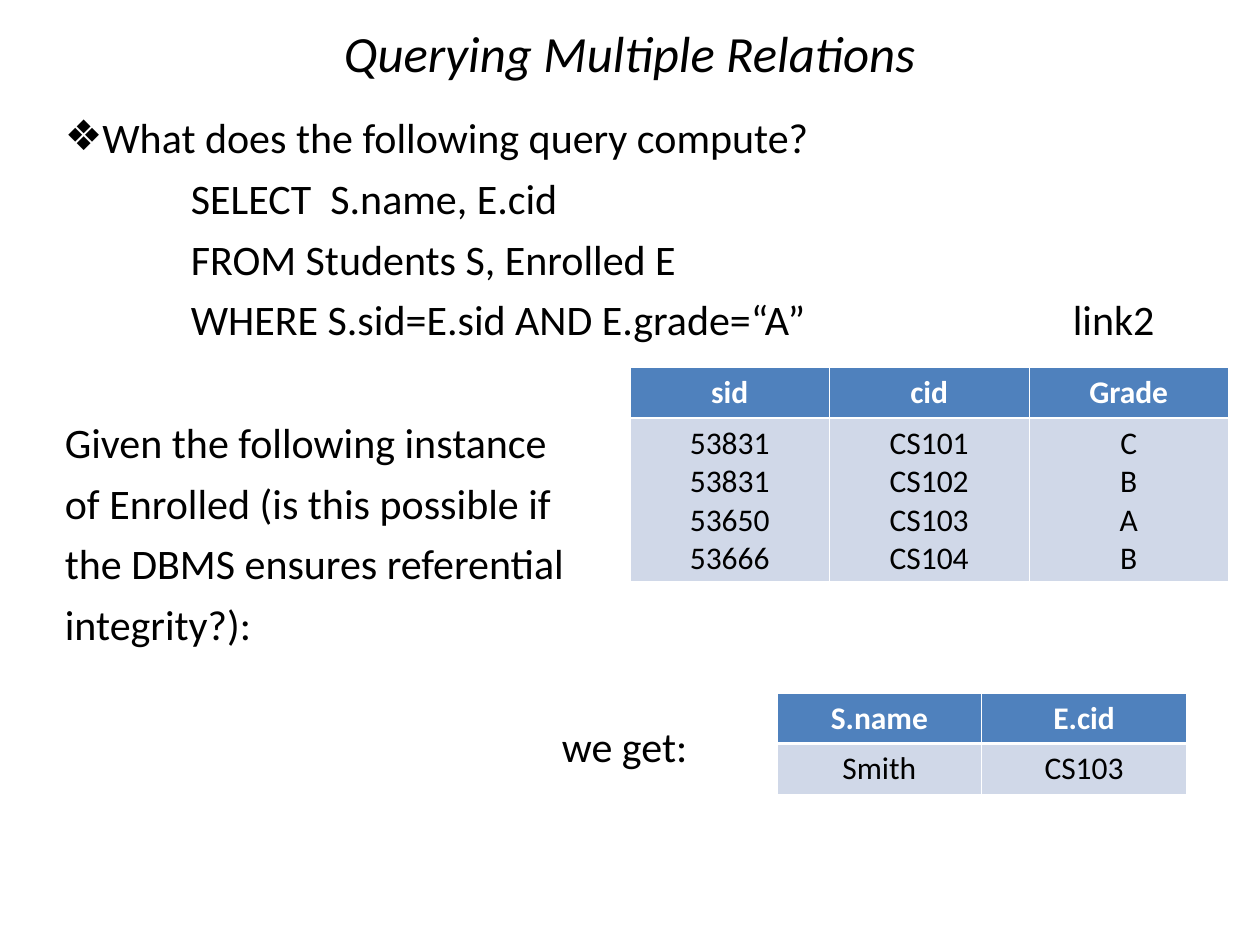
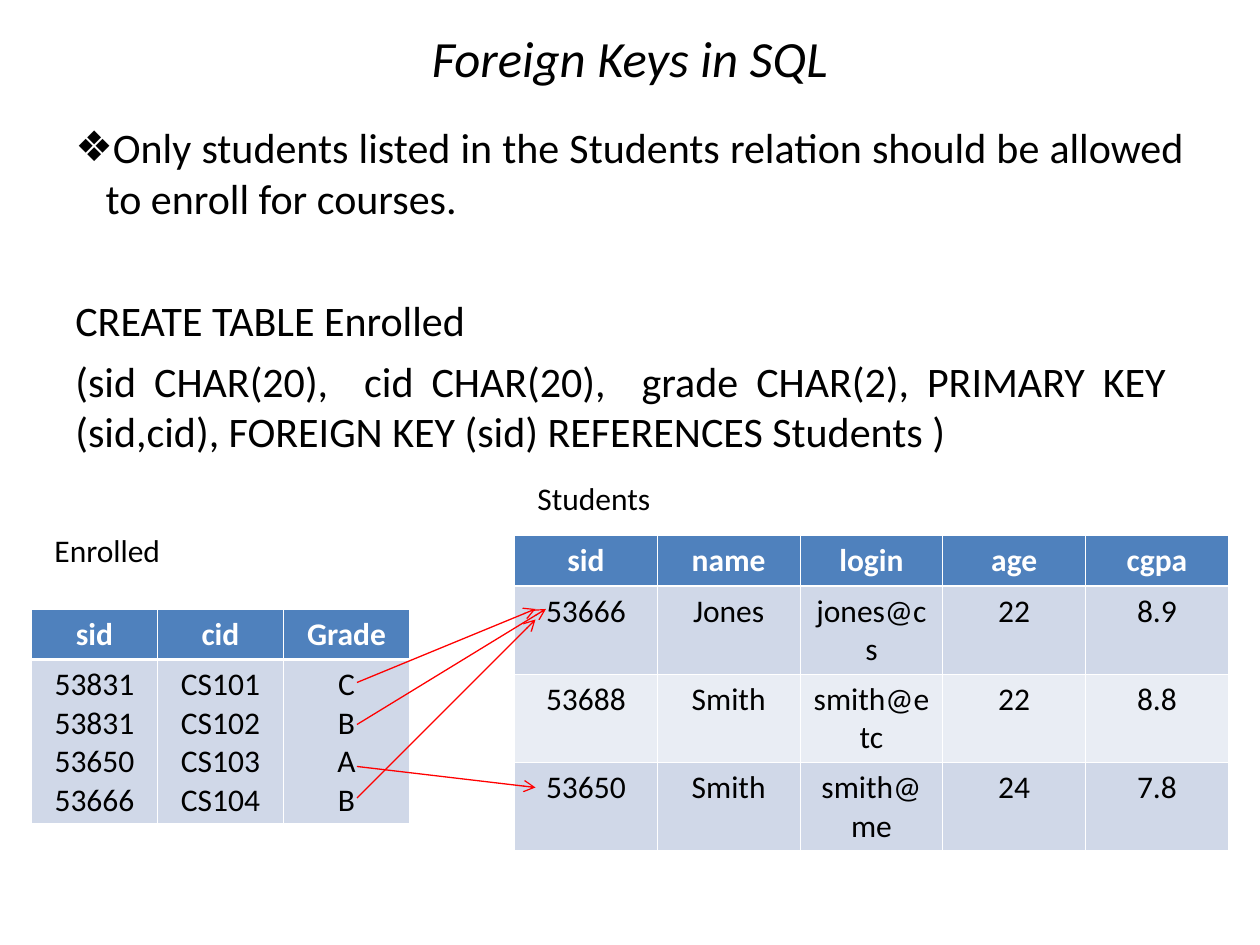
from lxml.etree import SubElement
from pptx import Presentation
from pptx.dml.color import RGBColor
from pptx.enum.shapes import MSO_CONNECTOR
from pptx.enum.text import MSO_ANCHOR, PP_ALIGN
from pptx.oxml.ns import qn
from pptx.util import Emu, Inches, Pt

COLORS = {
    "text": "000000", "arrow": "FF0000", "header": "4F81BD", "header_text": "FFFFFF",
    "band": "D0D8E8", "light_band": "E9EDF4", "border": "FFFFFF",
}
FONT = "Calibri"
TITLE_SIZE, BODY_SIZE, SMALL_SIZE = 29, 24, 18
GRID_COLUMNS, GRID_ROWS = 120, 90
PARAGRAPH_GAP, SECTION_GAP = 6, 41
HANG = Inches(0.24)
THIN, THICK = Pt(0.45), Pt(1.47)
HEADER_ROW = 4.8

ENROLLED = [
    ["sid", "cid", "Grade"],
    ["53831\n53831\n53650\n53666", "CS101\nCS102\nCS103\nCS104", "C\nB\nA\nB"],
]
ENROLLED_ROW = 15.6


class Lecture:
    """Holds the shared style and the slide being filled."""

    def __init__(self):
        self.deck = Presentation()
        self.deck.slide_width, self.deck.slide_height = Inches(10), Inches(7.5)
        self.page = None

    def across(self, columns):
        return Emu(round(self.deck.slide_width * columns / GRID_COLUMNS))

    def down(self, rows):
        return Emu(round(self.deck.slide_height * rows / GRID_ROWS))

    def area(self, left, top, width, height):
        return self.across(left), self.down(top), self.across(width), self.down(height)

    def style(self, para, size, color="text", bold=False, italic=False):
        font = para.font
        font.name, font.size, font.bold, font.italic = FONT, Pt(size), bold, italic
        font.color.rgb = RGBColor.from_string(COLORS[color])

    def text_box(self, place):
        box = self.page.shapes.add_textbox(*self.area(*place))
        box.text_frame.word_wrap = True
        return box.text_frame

    def new_page(self, title, title_height):
        self.page = self.deck.slides.add_slide(self.deck.slide_layouts[6])
        frame = self.text_box((9, 0, 102, title_height))
        frame.vertical_anchor = MSO_ANCHOR.MIDDLE
        para = frame.paragraphs[0]
        para.text, para.alignment = title, PP_ALIGN.CENTER
        self.style(para, TITLE_SIZE, italic=True)

    def label(self, text, place):
        para = self.text_box(place).paragraphs[0]
        para.text = text
        self.style(para, SMALL_SIZE)

    def body(self, place, lines):
        """Each line is (text, options): bullet, tabs in inches, gap, align."""
        frame = self.text_box(place)
        for index, (text, options) in enumerate(lines):
            para = frame.add_paragraph() if index else frame.paragraphs[0]
            para.text = text
            para.alignment = options.get("align", PP_ALIGN.JUSTIFY)
            para.space_before = Pt(options.get("gap", PARAGRAPH_GAP))
            properties = para._p.get_or_add_pPr()
            if options.get("bullet"):
                properties.set("marL", str(HANG))
                properties.set("indent", str(-HANG))
                SubElement(properties, qn("a:buFont"), typeface="Arial")
                SubElement(properties, qn("a:buChar"), char="❖")
            if "tabs" in options:
                stops = SubElement(properties, qn("a:tabLst"))
                for stop in options["tabs"]:
                    SubElement(stops, qn("a:tab"), pos=str(Inches(stop)), algn="l")
            self.style(para, BODY_SIZE)

    def table(self, left, top, width, body_row, rows):
        heights = [HEADER_ROW] + [body_row] * (len(rows) - 1)
        place = self.area(left, top, width, sum(heights))
        table = self.page.shapes.add_table(len(rows), len(rows[0]), *place).table
        for column in table.columns:
            column.width = self.across(width / len(rows[0]))
        for row_index, values in enumerate(rows):
            table.rows[row_index].height = self.down(heights[row_index])
            for column_index, value in enumerate(values):
                self.cell(table.cell(row_index, column_index), value, row_index)

    def cell(self, cell, value, row_index):
        is_header = row_index == 0
        fill = "header" if is_header else "band" if row_index % 2 else "light_band"
        cell.fill.solid()
        cell.fill.fore_color.rgb = RGBColor.from_string(COLORS[fill])
        cell.text = value
        for para in cell.text_frame.paragraphs:
            para.alignment = PP_ALIGN.CENTER
            self.style(para, SMALL_SIZE, "header_text" if is_header else "text", is_header)
        # The rule under the header is heavier than the rest
        borders = {"lnL": THIN, "lnR": THIN,
                   "lnT": THICK if row_index == 1 else THIN,
                   "lnB": THICK if is_header else THIN}
        properties = cell._tc.get_or_add_tcPr()
        for position, (side, width) in enumerate(borders.items()):
            line = SubElement(properties, qn(f"a:{side}"), w=str(width))
            SubElement(SubElement(line, qn("a:solidFill")), qn("a:srgbClr"), val=COLORS["border"])
            properties.insert(position, line)

    def arrow(self, start, end):
        (x1, y1), (x2, y2) = start, end
        arrow = self.page.shapes.add_connector(
            MSO_CONNECTOR.STRAIGHT,
            self.across(x1), self.down(y1), self.across(x2), self.down(y2))
        arrow.line.color.rgb = RGBColor.from_string(COLORS["arrow"])
        arrow.line.width = Pt(0.75)
        properties = arrow._element.spPr
        SubElement(properties.find(qn("a:ln")), qn("a:tailEnd"), type="arrow")
        SubElement(properties, qn("a:effectLst"))


def query_page(lecture):
    lecture.new_page("Querying Multiple Relations", 10)
    code = {"tabs": [1, 8]}
    lecture.body((5, 10, 109, 74), [
        ("What does the following query compute?", {"bullet": True}),
        ("\tSELECT  S.name, E.cid", code),
        ("\tFROM Students S, Enrolled E", code),
        ("\tWHERE S.sid=E.sid AND E.grade=“A”\tlink2", code),
        ("Given the following instance", {"gap": SECTION_GAP}),
        ("of Enrolled (is this possible if", {}),
        ("the DBMS ensures referential", {}),
        ("integrity?):", {}),
        ("we get:", {"gap": SECTION_GAP, "align": PP_ALIGN.CENTER}),
    ])
    lecture.table(60, 35, 57, ENROLLED_ROW, ENROLLED)
    lecture.table(74, 66, 39, HEADER_ROW, [["S.name", "E.cid"], ["Smith", "CS103"]])


def foreign_key_page(lecture):
    lecture.new_page("Foreign Keys in SQL", 11)
    lecture.body((6, 11, 108, 74), [
        ("Only students listed in the Students relation should be allowed "
         "to enroll for courses.", {"bullet": True}),
        ("CREATE TABLE Enrolled", {"gap": SECTION_GAP}),
        ("(sid CHAR(20),  cid CHAR(20),  grade CHAR(2), PRIMARY KEY  (sid,cid), "
         "FOREIGN KEY (sid) REFERENCES Students )", {}),
    ])
    lecture.table(49, 51, 68, 8.4, [
        ["sid", "name", "login", "age", "cgpa"],
        ["53666", "Jones", "jones@cs", "22", "8.9"],
        ["53688", "Smith", "smith@etc", "22", "8.8"],
        ["53650", "Smith", "smith@me", "24", "7.8"],
    ])
    lecture.table(3, 58, 36, ENROLLED_ROW, ENROLLED)
    lecture.label("Enrolled", (4, 50, 15, 4.8))
    lecture.label("Students", (50, 45, 14, 4.8))
    # Enrolled rows point at the student they refer to
    for start_row, end in [(73, (51, 75)), (65, (51, 58)), (69, (52, 58)), (76, (51, 59))]:
        lecture.arrow((34, start_row), end)


def main():
    lecture = Lecture()
    query_page(lecture)
    foreign_key_page(lecture)
    lecture.deck.save("out.pptx")


if __name__ == "__main__":
    main()
